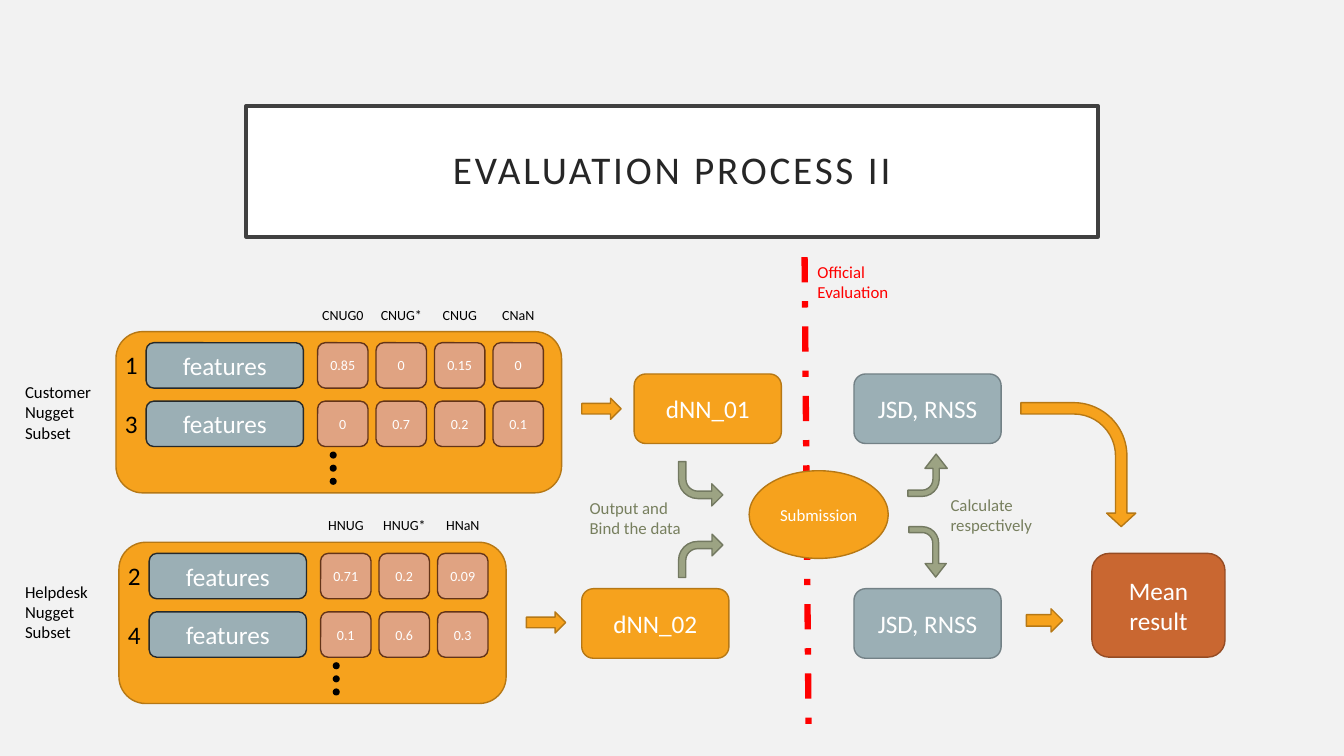
from pptx import Presentation
from pptx.util import Inches, Pt
from pptx.dml.color import RGBColor
from pptx.enum.dml import MSO_LINE
from pptx.enum.shapes import MSO_SHAPE as S, MSO_CONNECTOR
from pptx.enum.text import PP_ALIGN, MSO_ANCHOR
from pptx.oxml.ns import qn
from lxml.etree import SubElement

# Content
TITLE = "EVALUATION PROCESS II"
SETS = [
    dict(at=(1.15, 3.29), width=4.42, side=("Customer", "Nugget", "Subset"), side_top=3.74,
         heads=["CNUG0", "CNUG*", "CNUG", "CNaN"],
         rows=[("1", ["0.85", "0", "0.15", "0"]), ("3", ["0", "0.7", "0.2", "0.1"])]),
    dict(at=(1.18, 5.38), width=3.84, side=("Helpdesk", "Nugget", "Subset"), side_top=5.72,
         heads=["HNUG", "HNUG*", "HNaN"],
         rows=[("2", ["0.71", "0.2", "0.09"]), ("4", ["0.1", "0.6", "0.3"])]),
]
ORANGE, RUST = ("F6A21D", "B67815"), ("C96731", "954C24")
GRAY, SAGE = ("9BAFB5", "738186"), ("9CA383", "737961")
FEATURE, CELL = ("9BAFB5", "25292B"), ("E0A382", "643418")
OLIVE, RED, WHITE, BLACK = "777F5E", "FF0000", "FFFFFF", "000000"

NODES = [  # text, shape, box, colors, size
    ("dNN_01", S.ROUNDED_RECTANGLE, (6.29, 3.71, 1.46, 0.69), ORANGE, 18),
    ("dNN_02", S.ROUNDED_RECTANGLE, (5.77, 5.84, 1.46, 0.69), ORANGE, 18),
    ("JSD, RNSS", S.ROUNDED_RECTANGLE, (8.47, 3.71, 1.46, 0.69), GRAY, 18),
    ("JSD, RNSS", S.ROUNDED_RECTANGLE, (8.47, 5.84, 1.46, 0.69), GRAY, 18),
    ("Mean result", S.ROUNDED_RECTANGLE, (10.83, 5.49, 1.32, 1.03), RUST, 18),
    ("Submission", S.OVAL, (7.43, 4.67, 1.38, 0.87), ORANGE, 12),
]
ARROWS = [(5.77, 3.95, 0.39, 0.21), (5.22, 6.07, 0.39, 0.21), (10.18, 6.04, 0.36, 0.23)]
JOIN, SPLIT = (0.167, 0.25, 0.25, 0.438), (0.159, 0.284, 0.363, 0.438)
BENDS = [  # box, colors, adjustments, rotation, flip
    ((10.08, 4.04, 1.23, 1.14), ORANGE, (0.099, 0.127, 0.117, 0.463), 90, None),
    ((6.73, 5.3, 0.44, 0.43), SAGE, JOIN, 0, None),
    ((6.73, 4.58, 0.44, 0.44), SAGE, JOIN, 0, "flipV"),
    ((8.95, 5.29, 0.5, 0.37), SAGE, SPLIT, 90, None),
    ((8.99, 4.52, 0.42, 0.39), SAGE, SPLIT, 90, "flipH"),
]
NOTES = [
    (("Output and", "Bind the data"), (5.75, 4.89, 1.73, 0.5), OLIVE),
    (("Calculate", "respectively"), (9.33, 4.86, 1.73, 0.5), OLIVE),
    (("Official", "Evaluation"), (8.01, 2.55, 1, 0.5), RED),
]


def rgb(code):
    return RGBColor.from_string(code)


def write(shape, lines, size=18, color=WHITE, align=PP_ALIGN.CENTER,
          anchor=MSO_ANCHOR.MIDDLE, pad=(0.1, 0.05), space=0, lead=None):
    frame = shape.text_frame
    frame.word_wrap = True
    frame.vertical_anchor = anchor
    frame.margin_left = frame.margin_right = Inches(pad[0])
    frame.margin_top = frame.margin_bottom = Inches(pad[1])
    for i, line in enumerate([lines] if isinstance(lines, str) else lines):
        para = frame.paragraphs[0] if i == 0 else frame.add_paragraph()
        para.alignment = align
        para.line_spacing = lead
        run = para.add_run()
        run.text = line
        run.font.name, run.font.size = "Calibri", Pt(size)
        run.font.color.rgb = rgb(color)
        if space:
            run.font._element.set("spc", str(space * 100))


def draw(home, kind, box, fill, edge=None, weight=1):
    shape = home.add_shape(kind, *map(Inches, box))
    shape.shadow.inherit = False
    shape.fill.solid()
    shape.fill.fore_color.rgb = rgb(fill)
    if edge:
        shape.line.color.rgb = rgb(edge)
        shape.line.width = Pt(weight)
    else:
        shape.line.fill.background()
    return shape


def label(home, lines, box, **style):
    style = dict(size=12, color=BLACK, align=PP_ALIGN.LEFT, anchor=MSO_ANCHOR.TOP) | style
    write(home.add_textbox(*map(Inches, box)), lines, **style)


def panel(home, at, width, heads, rows):
    left, top = at
    pitch, size = 0.58, (0.5, 0.45)
    cells = left + 2
    draw(home, S.ROUNDED_RECTANGLE, (left, top, width, 1.6), *ORANGE)
    for c, head in enumerate(heads):
        label(home, head, (cells - 0.04 + c * pitch, top - 0.3, pitch, 0.27),
              size=10, align=PP_ALIGN.CENTER, pad=(0, 0.05))
    for r, (num, vals) in enumerate(rows):
        y = top + 0.11 + r * pitch
        label(home, num, (left - 0.01, y + 0.02, 0.33, 0.4), size=18)
        write(draw(home, S.ROUNDED_RECTANGLE, (left + 0.3, y, 1.56, 0.45), *FEATURE), "features")
        for c, val in enumerate(vals):
            cell = draw(home, S.ROUNDED_RECTANGLE, (cells + c * pitch, y, *size), *CELL)
            write(cell, val, size=10)
    for d in range(3):
        draw(home, S.OVAL, (left + 2.12, top + 1.19 + d * 0.13, 0.07, 0.07), BLACK)


deck = Presentation()
deck.slide_width, deck.slide_height = Inches(13.33), Inches(7.5)
slide = deck.slides.add_slide(deck.slide_layouts[6])
slide.background.fill.solid()
slide.background.fill.fore_color.rgb = rgb("F2F2F2")
shapes = slide.shapes

# Divider and title
split = shapes.add_connector(MSO_CONNECTOR.STRAIGHT, *map(Inches, (7.98, 2.55, 8.02, 7.27)))
split.line.color.rgb = rgb(RED)
split.line.width = Pt(4.5)
split.line.dash_style = MSO_LINE.DASH_DOT
SubElement(split._element.spPr, qn("a:effectLst"))
title = draw(shapes, S.RECTANGLE, (2.44, 1.05, 8.45, 1.3), WHITE, "404040", 2.5)
write(title, TITLE, size=28, color="262626", pad=(0.2, 0.2), space=2, lead=0.9)

# Data subsets
for part in SETS:
    panel(shapes.add_group_shape().shapes, part["at"], part["width"], part["heads"], part["rows"])
    label(shapes, part["side"], (0.15, part["side_top"], 0.96, 0.71))

# Process nodes
for text, kind, box, colors, size in NODES:
    write(draw(shapes, kind, box, *colors), text, size=size)

# Arrows
for box in ARROWS:
    draw(shapes, S.RIGHT_ARROW, box, *ORANGE)
for box, colors, adjust, turn, flip in BENDS:
    bend = draw(shapes, S.BENT_ARROW, box, *colors)
    for i, val in enumerate(adjust):
        bend.adjustments[i] = val
    bend.rotation = turn
    if flip:
        bend._element.spPr.xfrm.set(flip, "1")

# Notes
for lines, box, color in NOTES:
    label(shapes, lines, box, color=color)

deck.save("out.pptx")
